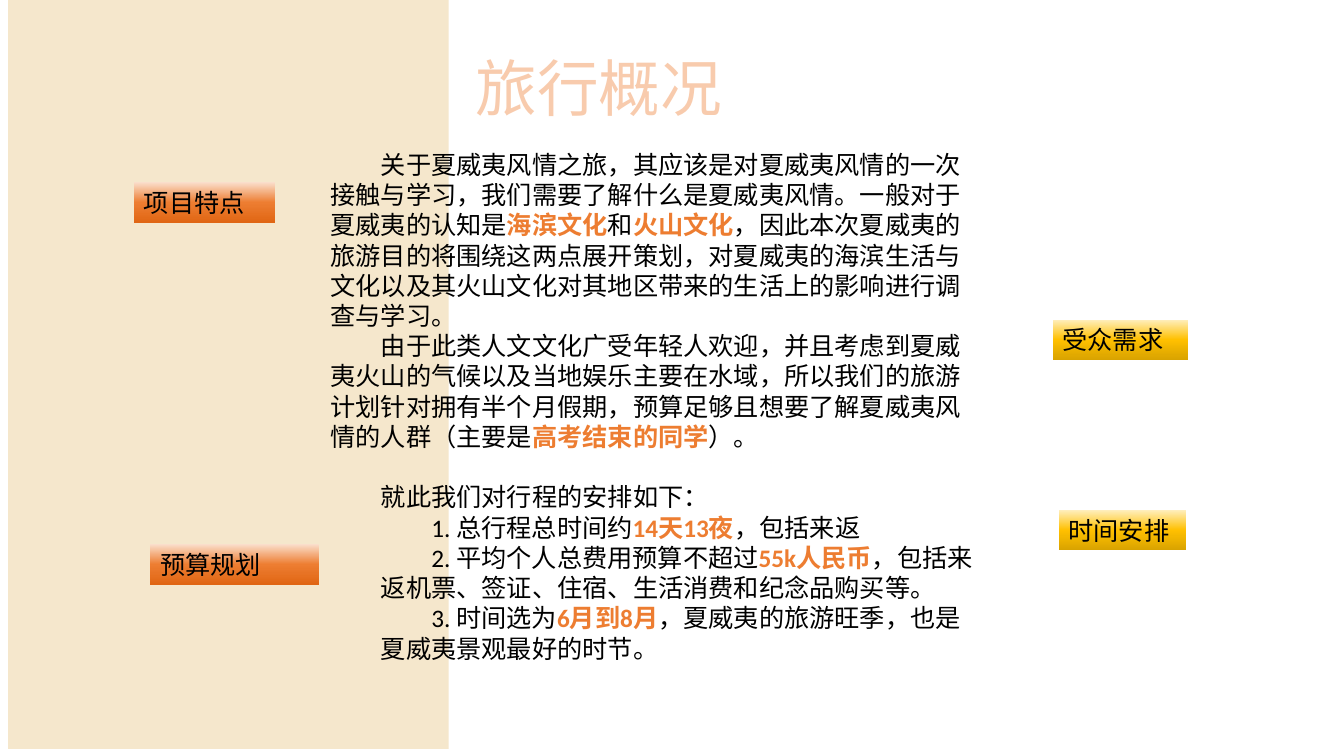
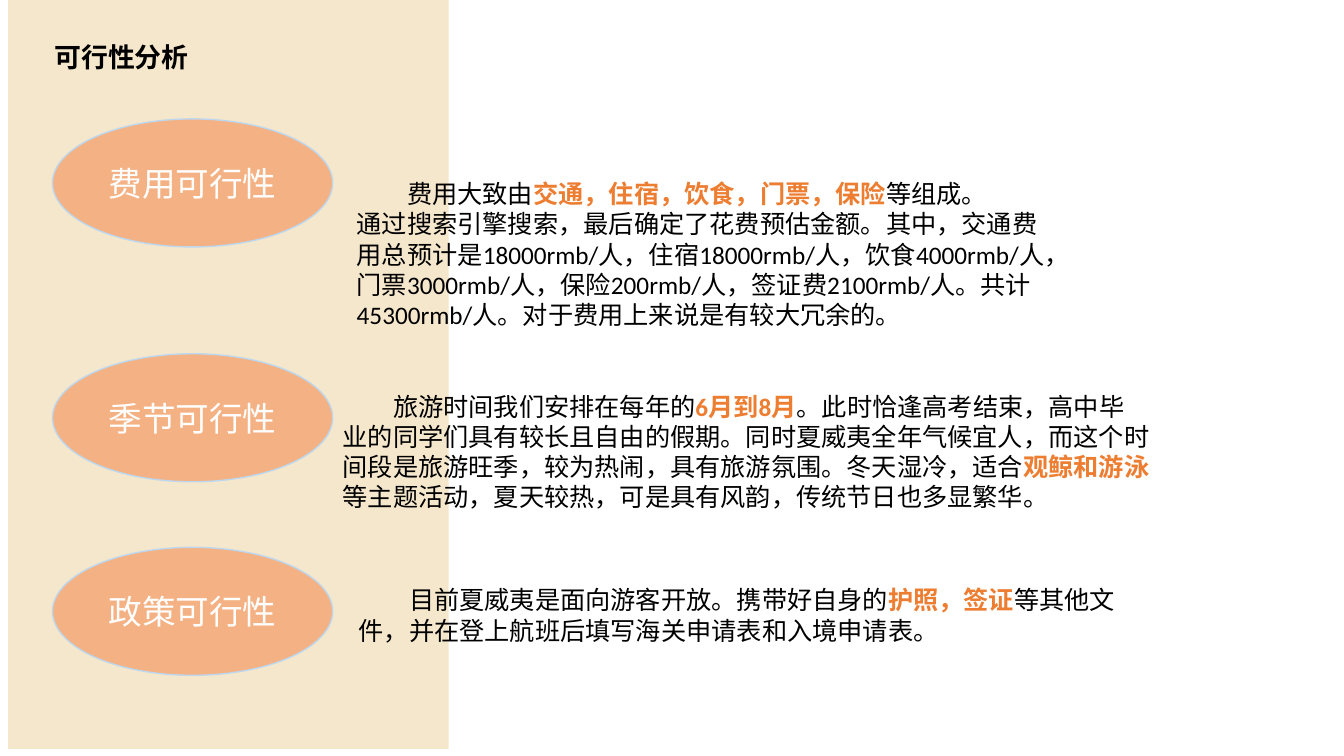
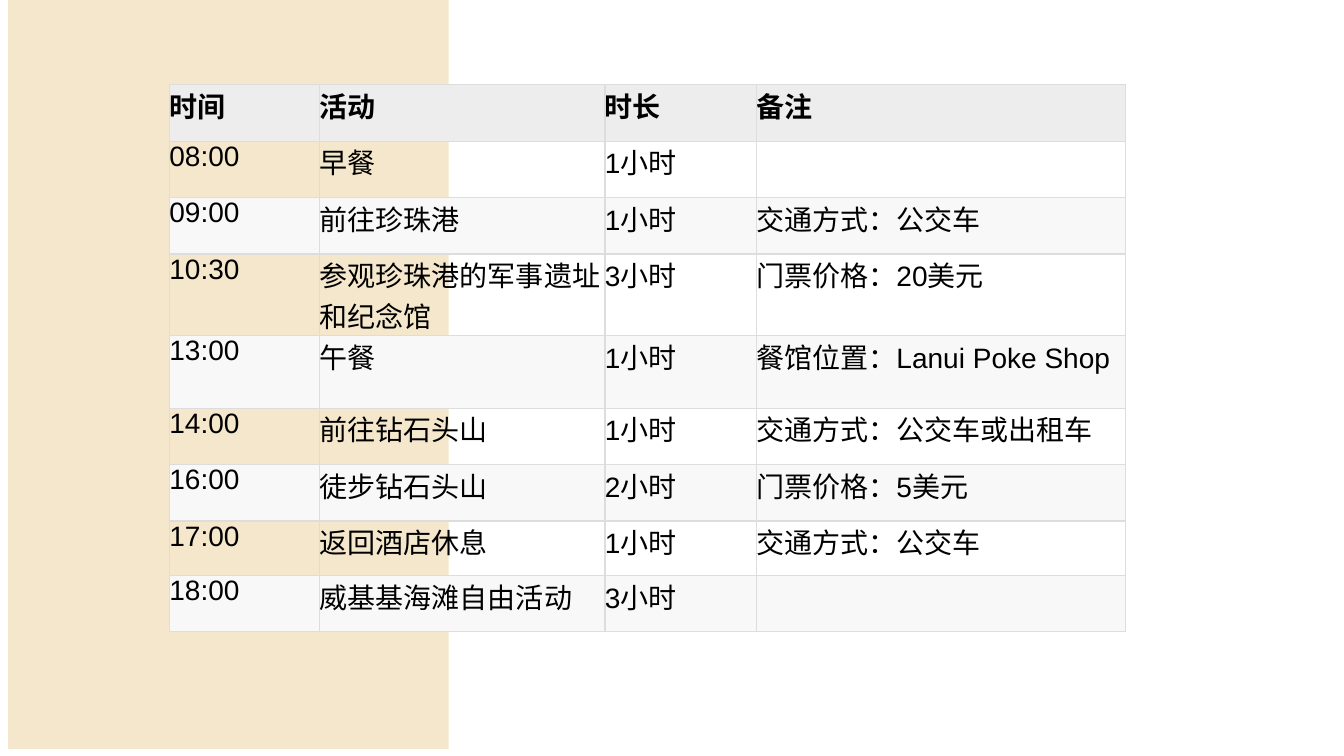
import copy
from dataclasses import dataclass

import pptx
import pptx.dml.color
import pptx.enum.shapes
import pptx.enum.text
import pptx.oxml
import pptx.oxml.ns
import pptx.util
from lxml import etree
from pptx.util import Inches

ANCHOR = pptx.enum.text.MSO_ANCHOR
ALIGN = pptx.enum.text.PP_ALIGN
SHAPE = pptx.enum.shapes.MSO_SHAPE
qn = pptx.oxml.ns.qn


@dataclass(frozen=True)
class Theme:
    sand: str = "F5E7CC"
    black: str = "000000"
    white: str = "FFFFFF"
    accent: str = "ED7D31"
    title: str = "F8CBAD"
    oval: str = "F4B183"
    oval_line: str = "BDD7EE"
    header_row: str = "EDEDED"
    banded_row: str = "F8F8F8"
    grid: str = "DDDDDD"
    orange: tuple = ("FADECB", "ED7D31", "E06614")
    gold: tuple = ("FFEFBF", "FFC000", "D9A300")
    latin: str = "Calibri"
    chinese: str = "Noto Sans CJK SC"
    table_font: str = "Arial"
    body_size: float = 18
    table_size: float = 20
    oval_size: float = 24
    heading_size: float = 19.2
    title_size: float = 44
    blank_line: float = 21.6


THEME = Theme()

# Text between asterisks is emphasised. Each paragraph: text, left margin, first-line indent, space before.
OVERVIEW_TITLE = "旅行概况"
OVERVIEW = [
    ("关于夏威夷风情之旅，其应该是对夏威夷风情的一次接触与学习，我们需要了解什么是夏威夷风情。"
     "一般对于夏威夷的认知是*海滨文化*和*火山文化*，因此本次夏威夷的旅游目的将围绕这两点展开策划，"
     "对夏威夷的海滨生活与文化以及其火山文化对其地区带来的生活上的影响进行调查与学习。", 0, 0.5, 0),
    ("由于此类人文文化广受年轻人欢迎，并且考虑到夏威夷火山的气候以及当地娱乐主要在水域，"
     "所以我们的旅游计划针对拥有半个月假期，预算足够且想要了解夏威夷风情的人群"
     "（主要是*高考结束的同学*）。", 0, 0.5, 0),
    ("就此我们对行程的安排如下：", 0, 0.5, THEME.blank_line),
    ("1. 总行程总时间约*14天13夜*，包括来返", 0.5, 0.5, 0),
    ("2. 平均个人总费用预算不超过*55k人民币*，包括来返机票、签证、住宿、生活消费和纪念品购买等。", 0.5, 0.5, 0),
    ("3. 时间选为*6月到8月*，夏威夷的旅游旺季，也是夏威夷景观最好的时节。", 0.5, 0.5, 0),
]
LABELS = [
    ("受众需求", 10.44, 3.17, 1.34, THEME.gold),
    ("项目特点", 1.33, 1.81, 1.4, THEME.orange),
    ("时间安排", 10.5, 5.06, 1.26, THEME.gold),
    ("预算规划", 1.49, 5.4, 1.67, THEME.orange),
]

FEASIBILITY_TITLE = "可行性分析"
FEASIBILITY = [
    ("费用可行性", 1.18, (3.44, 1.72, 7.03, 1.61), [
        ("费用大致由*交通，住宿，饮食，门票，保险*等组成。", 0, 0.5, 0),
        ("通过搜索引擎搜索，最后确定了花费预估金额。其中，交通费用总预计是18000rmb/人，"
         "住宿18000rmb/人，饮食4000rmb/人，门票3000rmb/人，保险200rmb/人，签证费2100rmb/人。"
         "共计45300rmb/人。对于费用上来说是有较大冗余的。", 0, 0, 0),
    ]),
    ("季节可行性", 3.51, (3.3, 3.83, 8.2, 1.5), [
        ("旅游时间我们安排在每年的*6月到8月*。此时恰逢高考结束，高中毕业的同学们具有较长且自由的假期。"
         "同时夏威夷全年气候宜人，而这个时间段是旅游旺季，较为热闹，具有旅游氛围。"
         "冬天湿冷，适合*观鲸和游泳*等主题活动，夏天较热，可是具有风韵，传统节日也多显繁华。", 0, 0.5, 0),
    ]),
    ("政策可行性", 5.43, (3.46, 5.75, 7.73, 1.31), [
        ("目前夏威夷是面向游客开放。携带好自身的*护照，签证*等其他文件，"
         "并在登上航班后填写海关申请表和入境申请表。", 0, 0.5, 0),
    ]),
]

SCHEDULE = [
    ("时间", "活动", "时长", "备注"),
    ("08:00", "早餐", "1小时", ""),
    ("09:00", "前往珍珠港", "1小时", "交通方式：公交车"),
    ("10:30", "参观珍珠港的军事遗址和纪念馆", "3小时", "门票价格：20美元"),
    ("13:00", "午餐", "1小时", "餐馆位置：Lanui Poke Shop"),
    ("14:00", "前往钻石头山", "1小时", "交通方式：公交车或出租车"),
    ("16:00", "徒步钻石头山", "2小时", "门票价格：5美元"),
    ("17:00", "返回酒店休息", "1小时", "交通方式：公交车"),
    ("18:00", "威基基海滩自由活动", "3小时", ""),
]
COLUMN_WIDTHS = [1.49, 2.83, 1.5, 3.66]
ROW_HEIGHTS = [0.56, 0.56, 0.56, 0.81, 0.72, 0.56, 0.56, 0.54, 0.56]


def rgb(color):
    return pptx.dml.color.RGBColor.from_string(color)


def set_font(font, size, color, latin=THEME.latin, chinese=THEME.latin, bold=False):
    font.size = pptx.util.Pt(size)
    font.name = latin
    font.bold = bold
    font.color.rgb = rgb(color)
    etree.SubElement(font._element, qn("a:ea")).set("typeface", chinese)


def write(paragraph, text, size, color, **font_options):
    """Fill a paragraph, emphasising the parts between asterisks."""
    set_font(paragraph.font, size, color, **font_options)
    for index, part in enumerate(text.split("*")):
        if part:
            run = paragraph.add_run()
            run.text = part
            if index % 2:
                run.font.bold = True
                run.font.color.rgb = rgb(THEME.accent)


def add_text(slide, box, paragraphs, size=THEME.body_size, color=THEME.black,
             anchor=ANCHOR.TOP, **font_options):
    frame = slide.shapes.add_textbox(*map(Inches, box)).text_frame
    frame.word_wrap = True
    frame.vertical_anchor = anchor
    for index, (text, margin, indent, before) in enumerate(paragraphs):
        paragraph = frame.add_paragraph() if index else frame.paragraphs[0]
        properties = paragraph._p.get_or_add_pPr()
        properties.set("marL", str(Inches(margin)))
        properties.set("indent", str(Inches(indent)))
        if before:
            paragraph.space_before = pptx.util.Pt(before)
        write(paragraph, text, size, color, **font_options)
    return frame


def add_shape(slide, kind, box, fill=None):
    shape = slide.shapes.add_shape(kind, *map(Inches, box))
    shape.shadow.inherit = False
    shape.line.fill.background()
    if fill:
        shape.fill.solid()
        shape.fill.fore_color.rgb = rgb(fill)
    return shape


def add_label(slide, text, left, top, width, colors):
    shape = add_shape(slide, SHAPE.RECTANGLE, (left, top, width, 0.4))
    shape.fill.gradient()
    shape.fill.gradient_angle = 270
    stop_list = shape._element.spPr.find(".//" + qn("a:gsLst"))
    stop_list.append(copy.deepcopy(stop_list[0]))
    for stop, color, position in zip(shape.fill.gradient_stops, colors, (0, 0.5, 1)):
        stop.color.rgb = rgb(color)
        stop.position = position
    shape.text_frame.vertical_anchor = ANCHOR.TOP
    paragraph = shape.text_frame.paragraphs[0]
    paragraph.alignment = ALIGN.LEFT
    write(paragraph, text, THEME.body_size, THEME.black)


def add_oval(slide, text, top):
    shape = add_shape(slide, SHAPE.OVAL, (0.52, top, 2.78, 1.27), THEME.oval)
    shape.line.color.rgb = rgb(THEME.oval_line)
    shape.line.width = pptx.util.Pt(1)
    paragraph = shape.text_frame.paragraphs[0]
    paragraph.alignment = ALIGN.CENTER
    write(paragraph, text, THEME.oval_size, THEME.white)


def make_line(tag, color, width):
    line = etree.Element(qn(tag), w=str(pptx.util.Pt(width)))
    fill = etree.SubElement(line, qn("a:solidFill"))
    etree.SubElement(fill, qn("a:srgbClr"), val=color)
    return line


def set_borders(cell, color):
    properties = cell._tc.get_or_add_tcPr()
    for index, side in enumerate(("a:lnL", "a:lnR", "a:lnT", "a:lnB")):
        properties.insert(index, make_line(side, color, 1))


def add_slide(presentation):
    """Add a blank slide with the shared sand band."""
    slide = presentation.slides.add_slide(presentation.slide_layouts[6])
    add_shape(slide, SHAPE.RECTANGLE, (0.08, -0.07, 4.37, 7.5), THEME.sand)
    return slide


def build_overview(presentation):
    slide = add_slide(presentation)
    add_text(slide, (3.18, 1.43, 6.69, 5.55), OVERVIEW)
    title = add_text(slide, (4.62, 0.45, 3.81, 0.84), [(OVERVIEW_TITLE, 0, 0, 0)],
                     THEME.title_size, THEME.title)
    title_run = title.paragraphs[0].runs[0]
    title_run.font._element.insert(0, make_line("a:ln", THEME.accent, 1.75))
    for label in LABELS:
        add_label(slide, *label)


def build_feasibility(presentation):
    slide = add_slide(presentation)
    add_text(slide, (0.44, 0.26, 9.29, 0.6), [(FEASIBILITY_TITLE, 0, 0, 0)], THEME.heading_size,
             anchor=ANCHOR.MIDDLE, latin=THEME.chinese, chinese=THEME.chinese, bold=True)
    for name, oval_top, box, paragraphs in FEASIBILITY:
        add_text(slide, box, paragraphs)
        add_oval(slide, name, oval_top)


def build_schedule(presentation):
    slide = add_slide(presentation)
    size = sum(COLUMN_WIDTHS), sum(ROW_HEIGHTS)
    table = slide.shapes.add_table(len(SCHEDULE), len(COLUMN_WIDTHS),
                                   *map(Inches, (1.68, 0.84, *size))).table
    table.first_row = table.horz_banding = False
    for column, width in zip(table.columns, COLUMN_WIDTHS):
        column.width = Inches(width)
    for row_index, (row, height, texts) in enumerate(zip(table.rows, ROW_HEIGHTS, SCHEDULE)):
        row.height = Inches(height)
        is_header = row_index == 0
        for cell, text in zip(row.cells, texts):
            cell.margin_left = cell.margin_right = cell.margin_top = cell.margin_bottom = 0
            if row_index % 2:
                cell.fill.background()
            else:
                cell.fill.solid()
                cell.fill.fore_color.rgb = rgb(THEME.header_row if is_header else THEME.banded_row)
            set_borders(cell, THEME.grid)
            write(cell.text_frame.paragraphs[0], text, THEME.table_size, THEME.black,
                  latin=THEME.table_font, chinese=THEME.chinese, bold=is_header)


def main():
    presentation = pptx.Presentation()
    presentation.slide_width = Inches(13.33)
    presentation.slide_height = Inches(7.5)
    build_overview(presentation)
    build_feasibility(presentation)
    build_schedule(presentation)
    presentation.save("out.pptx")


if __name__ == "__main__":
    main()
